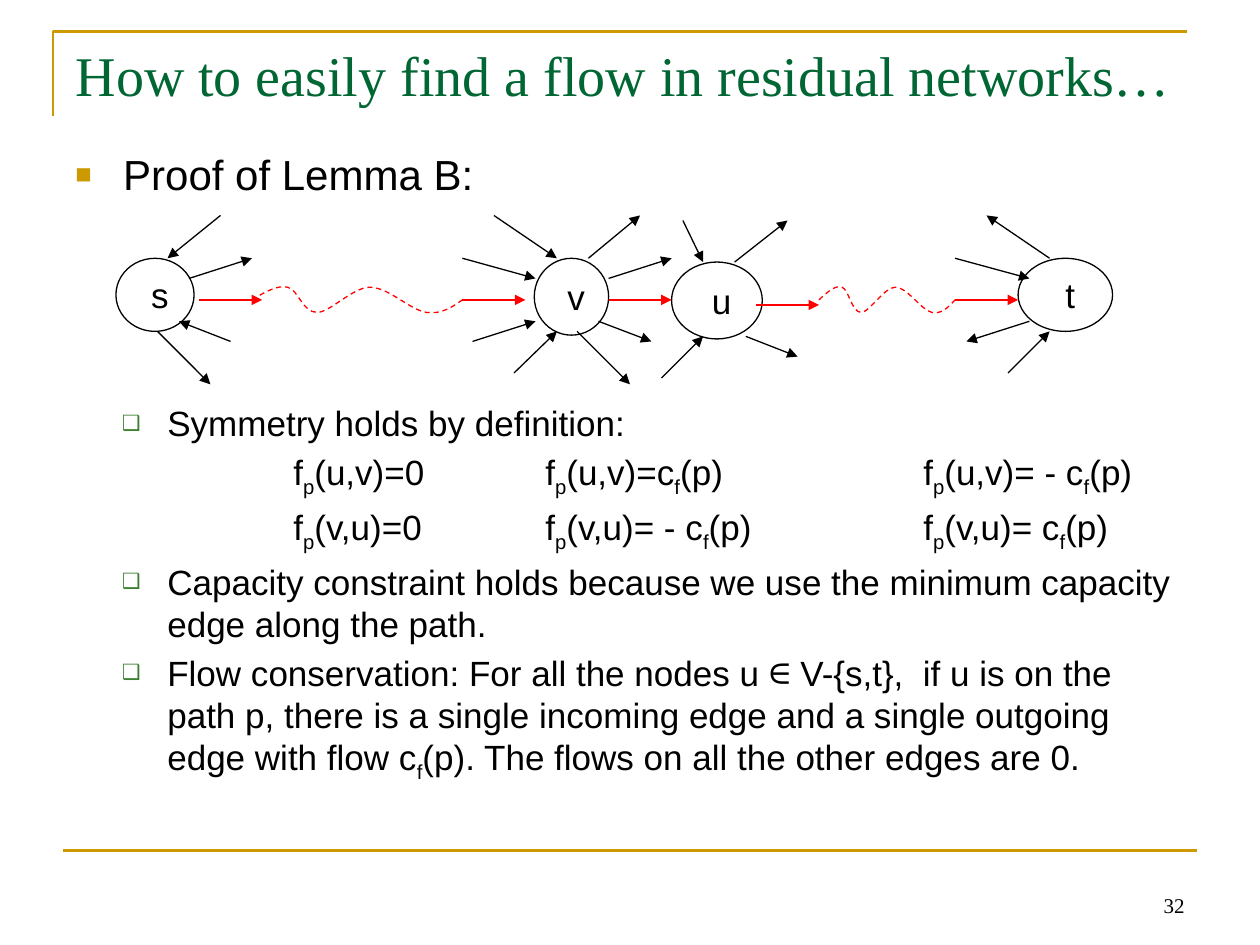
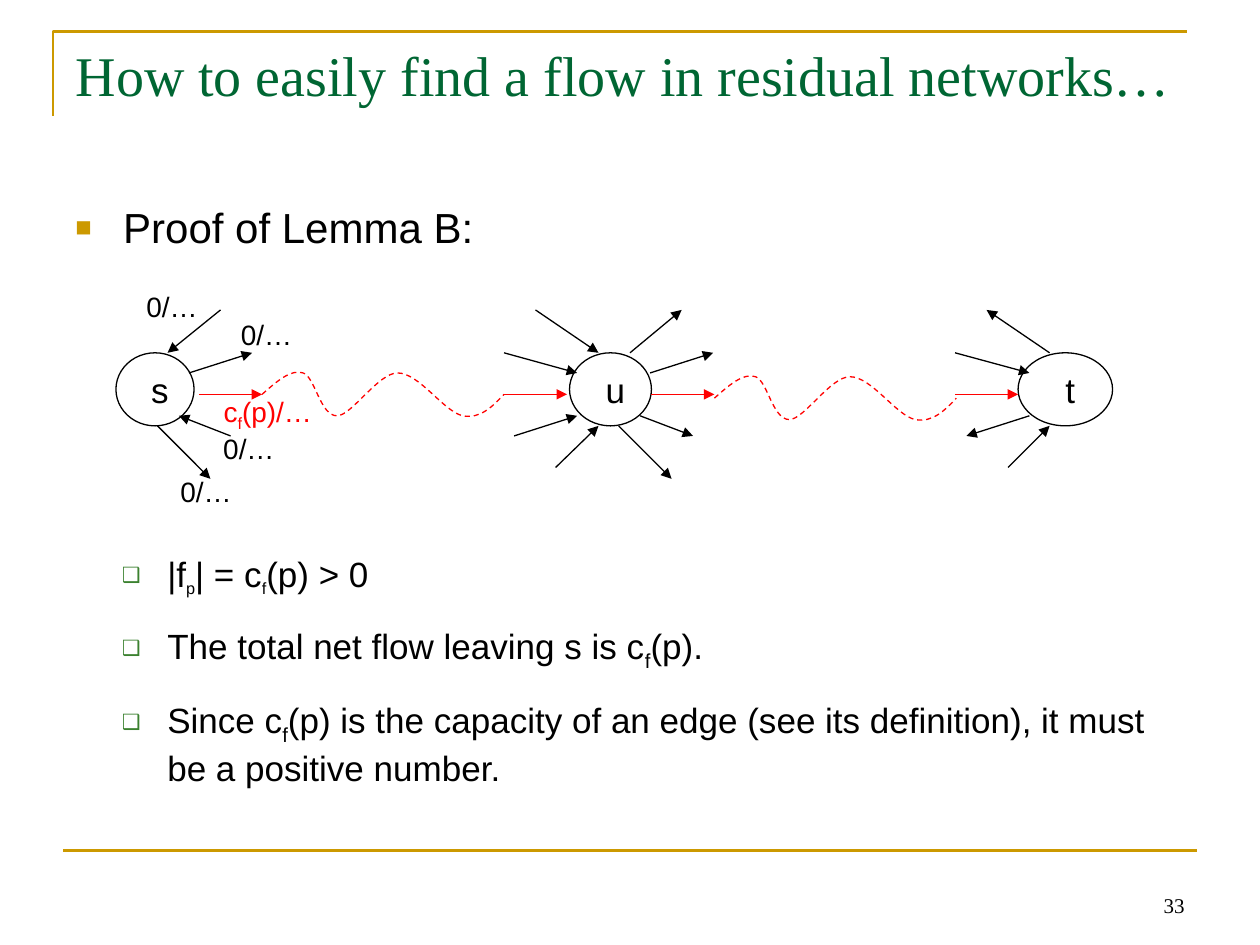
"""Builds two slides that prove Lemma B on flows in residual networks."""
from dataclasses import dataclass

from lxml import etree
from pptx import Presentation
from pptx.dml.color import RGBColor
from pptx.enum.dml import MSO_LINE
from pptx.enum.shapes import MSO_CONNECTOR, MSO_SHAPE
from pptx.enum.text import MSO_ANCHOR, MSO_AUTO_SIZE, PP_ALIGN
from pptx.oxml.ns import qn
from pptx.util import Inches, Pt

DASH = MSO_LINE.DASH
LINE = MSO_CONNECTOR.STRAIGHT
OVAL = MSO_SHAPE.OVAL
TOP, MID, LOW = MSO_ANCHOR.TOP, MSO_ANCHOR.MIDDLE, MSO_ANCHOR.BOTTOM
LEFT, CENTER, RIGHT = PP_ALIGN.LEFT, PP_ALIGN.CENTER, PP_ALIGN.RIGHT


@dataclass(frozen=True)
class Theme:
    ink: str = "000000"
    gold: str = "CC9900"
    green: str = "006633"
    leaf: str = "3B812F"
    red: str = "FF0101"
    sans: str = "Arial"
    serif: str = "Times New Roman"
    math: str = "Noto Sans Mono"
    title: int = 32
    head: int = 24
    text: int = 20
    label: int = 16
    page: int = 12
    thin: float = 0.75
    rule: float = 1.5


T = Theme()
TITLE = "How to easily find a flow in residual networks…"

# level: left margin, hanging indent, size, bullet, bullet colour, bullet percent
LEVELS = {
    "head": (0.38, -0.38, T.head, "■", T.gold, 65),
    "item": (0.73, -0.36, T.text, "❑", T.leaf, 60),
    "math": (0.73, -0.36, T.text, None, None, None),
}

# arrows by kind of node, each tail to tip, from the node's anchor
SPOKES = {
    "source": [(.58, .16, 1.08, 0), (.83, -.34, .41, 0),
               (.91, .66, .5, .5), (.33, .58, .75, 1)],
    "inner": [(.58, .16, 1.08, 0), (.42, 0, .83, -.34),
              (.5, .5, .92, .66), (.33, .58, .75, 1),
              (-.58, 0, 0, .16), (-.33, -.34, .17, 0),
              (-.5, .66, 0, .5), (-.17, .91, .17, .58)],
    "next": [(.5, 0, .92, -.33), (.59, .59, 1, .75),
             (.09, -.33, .25, 0), (-.08, .92, .25, .59)],
    "sink": [(-.5, 0, .09, .16), (.25, 0, -.25, -.34),
             (.09, .5, -.41, .66), (-.08, .91, .25, .58)],
}

# Bezier points of one wave: share of its width, multiple of its height
WAVE = [(0, 0), (.06, -.6), (.12, -1.2), (.17, -1), (.22, -.8), (.24, 1),
        (.31, 1), (.37, 1), (.48, -1), (.56, -1), (.65, -1), (.75, .8),
        (.83, 1), (.9, 1.15), (.95, .6), (1, 0)]
HOP = 0.5
TAB = Inches(1)

# "_" lowers the next letter; rows are level, space before, text, size of lowered letters
SLIDES = [
    dict(
        page="32", top=1.13,
        rows=[
            ("head", 5, "Proof of Lemma B:", None),
            ("item", 116, "Symmetry holds by definition:", None),
            ("math", 4, "\t\tf_p(u,v)=0\tf_p(u,v)=c_f(p)\t\tf_p(u,v)= - c_f(p)", None),
            ("math", 4, "\t\tf_p(v,u)=0\tf_p(v,u)= - c_f(p)\t\tf_p(v,u)= c_f(p)", None),
            ("item", 4, "Capacity constraint holds because we use the minimum "
                        "capacity edge along the path.", None),
            ("item", 4, "Flow conservation: For all the nodes u _∈ V-{s,t},  if u is on "
                        "the path p, there is a single incoming edge and a single outgoing "
                        "edge with flow c_f(p). The flows on all the other edges are 0.", None),
        ],
        nodes=[(" s", "source", .92, 2.05, .92, .62, .58),
               (" t", "sink", 8.08, 2.05, 8.08, .75, .58),
               (" v", "inner", 4.25, 2.05, 4.24, .59, .61),
               (" u", "next", 5.33, 2.08, 5.33, .72, .61)],
        hops=[(1.58, 2.38), (3.67, 2.38), (4.83, 2.38), (6, 2.42), (7.58, 2.38)],
        waves=[(2, 2.38, 1.67, .1), (6.5, 2.38, 1.08, .1)],
        labels=[],
    ),
    dict(
        page="33", top=1.55,
        rows=[
            ("head", 5, "Proof of Lemma B:", None),
            ("item", 172, "|f_p| = c_f(p) > 0", T.label),
            ("item", 15, "The total net flow leaving s is c_f(p).", None),
            ("item", 15, "Since c_f(p) is the capacity of an edge (see its "
                         "definition), it must be a positive number.", None),
        ],
        nodes=[(" s", "source", .92, 2.8, .92, .62, .58),
               (" t", "sink", 8.08, 2.8, 8.08, .75, .58),
               (" u", "inner", 4.58, 2.8, 4.52, .65, .58)],
        hops=[(x, 3.13) for x in (1.58, 4, 5.17, 7.58)],
        waves=[(2.08, 3.13, 1.92, .17), (5.67, 3.16, 1.92, .17)],
        labels=[("0/…", 1.06, 2.25, .61, T.ink), ("0/…", 1.81, 2.47, .61, T.ink),
                ("0/…", 1.67, 3.38, .61, T.ink), ("0/…", 1.33, 3.72, .61, T.ink),
                ("c_f(p)/…", 1.67, 3.08, .91, T.red)],
    ),
]


def rgb(code):
    return RGBColor.from_string(code)


def box(*sides):
    return [Inches(side) for side in sides]


def pen(shape, color, width):
    shape.line.color.rgb = rgb(color)
    shape.line.width = Pt(width)


def style(para, face, size, color, align=LEFT):
    para.alignment = align
    para.font.name, para.font.size = face, Pt(size)
    para.font.color.rgb = rgb(color)


def frame(shape, anchor, wrap):
    body = shape.text_frame
    body.auto_size = MSO_AUTO_SIZE.NONE
    body.vertical_anchor, body.word_wrap = anchor, wrap
    return body


def write(para, text, small=None):
    first, *rest = text.split("_")
    para.add_run().text = first
    for part in rest:
        run = para.add_run()
        run.text = part[0]
        if part[0] == "∈":
            run.font.name = T.math
        else:
            run._r.get_or_add_rPr().set("baseline", "-25000")
            if small:
                run.font.size = Pt(small)
        para.add_run().text = part[1:]


def indent(para, left, hang, mark, color, share):
    props = para._p.get_or_add_pPr()
    props.set("marL", str(Inches(left)))
    props.set("indent", str(Inches(hang)))
    props.set("defTabSz", str(TAB))
    if not mark:
        etree.SubElement(props, qn("a:buNone"))
        return
    tint = etree.SubElement(props, qn("a:buClr"))
    etree.SubElement(tint, qn("a:srgbClr"), val=color)
    etree.SubElement(props, qn("a:buSzPct"), val=str(share * 1000))
    etree.SubElement(props, qn("a:buFont"), typeface=T.sans)
    etree.SubElement(props, qn("a:buChar"), char=mark)


def link(slide, ends, color, width=T.thin, tip=True):
    line = slide.shapes.add_connector(LINE, *box(*ends))
    pen(line, color, width)
    if tip:
        etree.SubElement(line.line._get_or_add_ln(), qn("a:tailEnd"), type="triangle")
    etree.SubElement(line.element.spPr, qn("a:effectLst"))


def trace(slide, points, color, width):
    start, *rest = [box(*point) for point in points]
    build = slide.shapes.build_freeform(*start)
    build.add_line_segments(rest, close=False)
    shape = build.convert_to_shape()
    shape.shadow.inherit = False
    shape.fill.background()
    pen(shape, color, width)
    return shape


def bend(shape):
    route = next(shape.element.iter(qn("a:path")))
    lines = route.findall(qn("a:lnTo"))
    for i in range(0, len(lines), 3):
        cubic = etree.SubElement(route, qn("a:cubicBezTo"))
        for line in lines[i:i + 3]:
            cubic.append(line[0])
            route.remove(line)


def note(slide, text, place, face, size, color, align, anchor=TOP, wrap=True):
    body = frame(slide.shapes.add_textbox(*box(*place)), anchor, wrap)
    para = body.paragraphs[0]
    write(para, text)
    style(para, face, size, color, align)


def base(slide, page):
    trace(slide, [(.42, .92), (.42, .25), (9.42, .25)], T.gold, T.rule)
    link(slide, (.5, 6.75, 9.5, 6.75), T.gold, T.rule, tip=False)
    note(slide, page, (7.17, 6.83, 2.33, .5), T.serif, T.page, T.ink, RIGHT, LOW)
    title = slide.shapes.title
    title.left, title.top, title.width, title.height = box(.5, .27, 9, 1.25)
    body = frame(title, TOP, True)
    body.text = TITLE
    style(body.paragraphs[0], T.serif, T.title, T.green)


def prose(slide, top, rows):
    body = frame(slide.shapes.add_textbox(*box(.5, top, 9, 4.95)), TOP, True)
    for i, (level, gap, text, small) in enumerate(rows):
        left, hang, size, *mark = LEVELS[level]
        para = body.add_paragraph() if i else body.paragraphs[0]
        indent(para, left, hang, *mark)
        para.space_before = Pt(gap)
        write(para, text, small)
        style(para, T.sans, size, T.ink)


def node(slide, name, kind, x, y, left, width, height):
    oval = slide.shapes.add_shape(OVAL, *box(left, y, width, height))
    oval.shadow.inherit = False
    oval.fill.background()
    pen(oval, T.ink, T.thin)
    para = frame(oval, MID, False).paragraphs[0]
    write(para, name)
    style(para, T.sans, T.text, T.ink, CENTER)
    for x1, y1, x2, y2 in SPOKES[kind]:
        link(slide, (x + x1, y + y1, x + x2, y + y2), T.ink)


def graph(slide, data):
    for spot in data["nodes"]:
        node(slide, *spot)
    for x, y in data["hops"]:
        link(slide, (x, y, x + HOP, y), T.red)
    for x, y, width, height in data["waves"]:
        points = [(x + a * width, y + b * height) for a, b in WAVE]
        wave = trace(slide, points, T.red, T.thin)
        wave.line.dash_style = DASH
        bend(wave)
    for text, x, y, width, color in data["labels"]:
        note(slide, text, (x, y, width, .37), T.sans, T.label, color, CENTER, wrap=False)


def main():
    deck = Presentation()
    deck.slide_width, deck.slide_height = box(10, 7.5)
    for level in deck.element.iter():
        if level.get("defTabSz"):
            level.set("defTabSz", str(TAB))
    for data in SLIDES:
        slide = deck.slides.add_slide(deck.slide_layouts[5])
        base(slide, data["page"])
        prose(slide, data["top"], data["rows"])
        graph(slide, data)
    deck.save("out.pptx")


if __name__ == "__main__":
    main()
